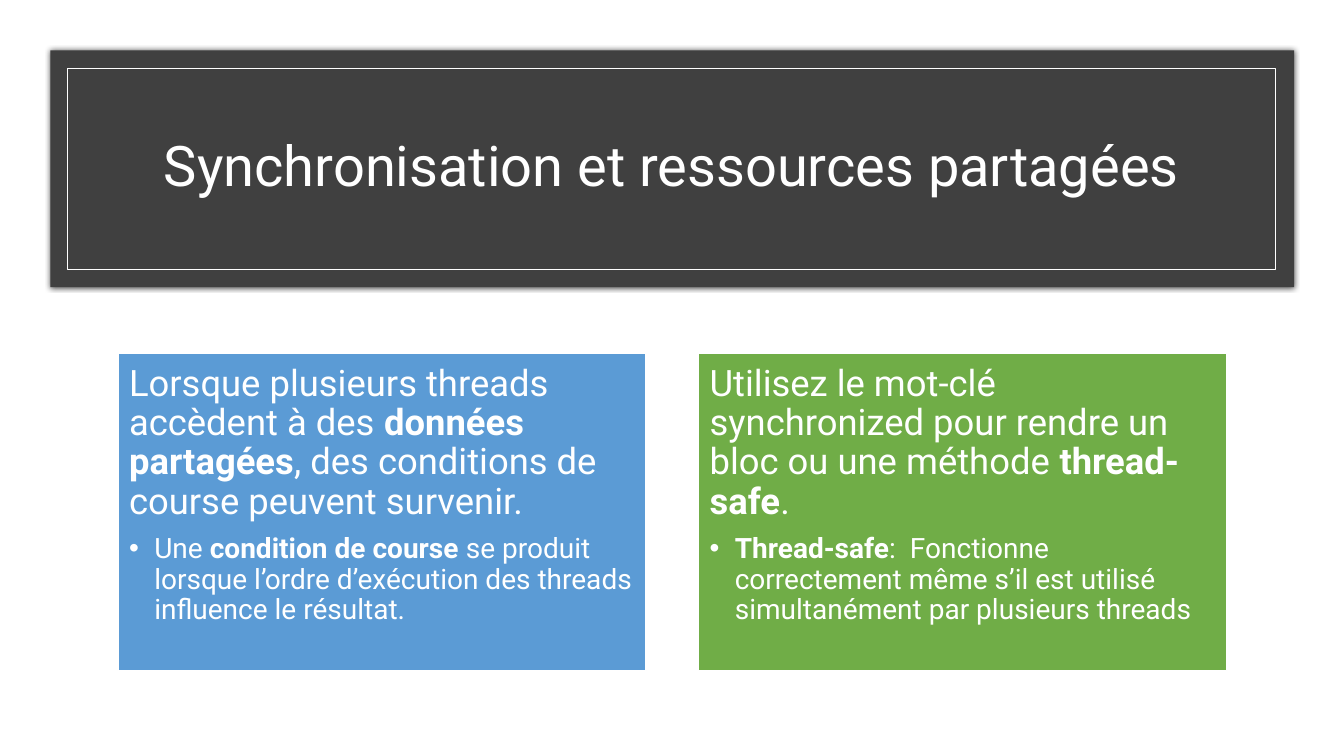
from dataclasses import dataclass
from typing import NamedTuple

from lxml import etree
from pptx import Presentation, util as u
from pptx.dml.color import RGBColor
from pptx.enum import shapes, text
from pptx.oxml import ns
from pptx.shapes.autoshape import Shape
from pptx.slide import Slide
from pptx.text.text import TextFrame, _Paragraph as Para

WIDE, HIGH = u.Inches(13.33), u.Inches(7.5)


@dataclass(frozen=True)
class Theme:
    font: str = "Roboto"
    white: str = "FFFFFF"
    dark: str = "404040"
    blue: str = "5B9BD5"
    green: str = "70AD47"
    head: int = 40
    lead: int = 26
    note: int = 20


class Box(NamedTuple):
    """Left, top, width and height as percentages of the slide's size."""
    left: float
    top: float
    width: float
    height: float

    def size(self) -> dict[str, int]:
        sides = (WIDE, HIGH, WIDE, HIGH)
        return {name: int(share * side / 100)
                for name, share, side in zip(self._fields, self, sides)}


@dataclass(frozen=True)
class Card:
    """Words between asterisks are bold."""
    fill: str
    lead: str
    note: str


THEME = Theme()
BAND = Box(3.75, 6.67, 92.55, 31.33)
FRAME = Box(5.03, 9.07, 89.85, 26.53)
TITLE = Box(8.7, 12.27, 82.5, 20)
FIRST = Box(8.78, 46.8, 39.3, 41.87)
STEP = 43.2
CARDS = (
    Card(THEME.blue,
         "Lorsque plusieurs threads accèdent à des *données partagées*, "
         "des conditions de course peuvent survenir.",
         "Une *condition de course* se produit lorsque l’ordre d’exécution "
         "des threads influence le résultat."),
    Card(THEME.green,
         "Utilisez le mot-clé synchronized pour rendre un bloc ou une "
         "méthode *thread-safe*.",
         "*Thread-safe*:  Fonctionne correctement même s’il est utilisé "
         "simultanément par plusieurs threads"),
)


def apply(item: object, values: dict) -> None:
    for name, value in values.items():
        setattr(item, name, value)


def add_rect(slide: Slide, box: Box, fill: str = "", line: float = 0) -> Shape:
    """Draw a rectangle; without fill or line width that part stays clear."""
    rect = slide.shapes.add_shape(shapes.MSO_SHAPE.RECTANGLE, *box.size().values())
    rect.shadow.inherit = False
    if fill:
        rect.fill.solid()
        rect.fill.fore_color.rgb = RGBColor.from_string(fill)
    else:
        rect.fill.background()
    if line:
        rect.line.color.rgb = RGBColor.from_string(THEME.white)
        rect.line.width = u.Pt(line)
    else:
        rect.line.fill.background()
    return rect


def add_glow(rect: Shape) -> None:
    """Give the rectangle a soft black shadow on all sides."""
    effects = rect._element.spPr.find(ns.qn("a:effectLst"))
    shade = etree.SubElement(effects, ns.qn("a:outerShdw"),
                             blurRad=str(u.Pt(4)), dist="0", algn="ctr", rotWithShape="0")
    tint = etree.SubElement(shade, ns.qn("a:srgbClr"), val="000000")
    etree.SubElement(tint, ns.qn("a:alpha"), val="66000")


def write(para: Para, words: str, size: int, align: text.PP_ALIGN, after: float = 0) -> None:
    apply(para, {"alignment": align, "line_spacing": 0.9,
                 "space_before": u.Pt(0), "space_after": u.Pt(after)})
    for i, part in enumerate(words.split("*")):
        if part:
            run = para.add_run()
            run.text = part
            apply(run.font, {"name": THEME.font, "size": u.Pt(size), "bold": i % 2 == 1})
            run.font.color.rgb = RGBColor.from_string(THEME.white)


def add_dot(para: Para) -> None:
    """Turn the paragraph into a hanging bullet."""
    para.level = 1
    props = para._p.get_or_add_pPr()
    props.set("marL", str(u.Inches(0.25)))
    props.set("indent", str(u.Inches(-0.25)))
    etree.SubElement(props, ns.qn("a:buFont"), typeface="Arial")
    etree.SubElement(props, ns.qn("a:buChar"), char="•")


def add_title(slide: Slide) -> None:
    title = slide.shapes.title
    apply(title, TITLE.size())
    frame: TextFrame = title.text_frame
    apply(frame, {"word_wrap": True, "auto_size": text.MSO_AUTO_SIZE.NONE,
                  "vertical_anchor": text.MSO_ANCHOR.MIDDLE})
    write(frame.paragraphs[0], "Synchronisation et ressources partagées",
          THEME.head, text.PP_ALIGN.CENTER)
    slide.shapes._spTree.append(title._element)  # in front of the band


def add_card(slide: Slide, card: Card, box: Box) -> None:
    frame = add_rect(slide, box, card.fill, 1).text_frame
    apply(frame, {"word_wrap": True, "vertical_anchor": text.MSO_ANCHOR.TOP})
    apply(frame, {f"margin_{side}": u.Inches(0.11)
                  for side in ("left", "top", "right", "bottom")})
    write(frame.paragraphs[0], card.lead, THEME.lead, text.PP_ALIGN.LEFT, 0.35 * THEME.lead)
    note = frame.add_paragraph()
    write(note, card.note, THEME.note, text.PP_ALIGN.LEFT, 0.15 * THEME.note)
    add_dot(note)


def main() -> None:
    deck = Presentation()
    apply(deck, {"slide_width": WIDE, "slide_height": HIGH})
    slide = deck.slides.add_slide(deck.slide_layouts.get_by_name("Title Only"))
    add_glow(add_rect(slide, BAND, THEME.dark))
    add_rect(slide, FRAME, line=0.5)
    add_title(slide)
    for i, card in enumerate(CARDS):
        add_card(slide, card, FIRST._replace(left=FIRST.left + i * STEP))
    deck.save("out.pptx")


if __name__ == "__main__":
    main()
